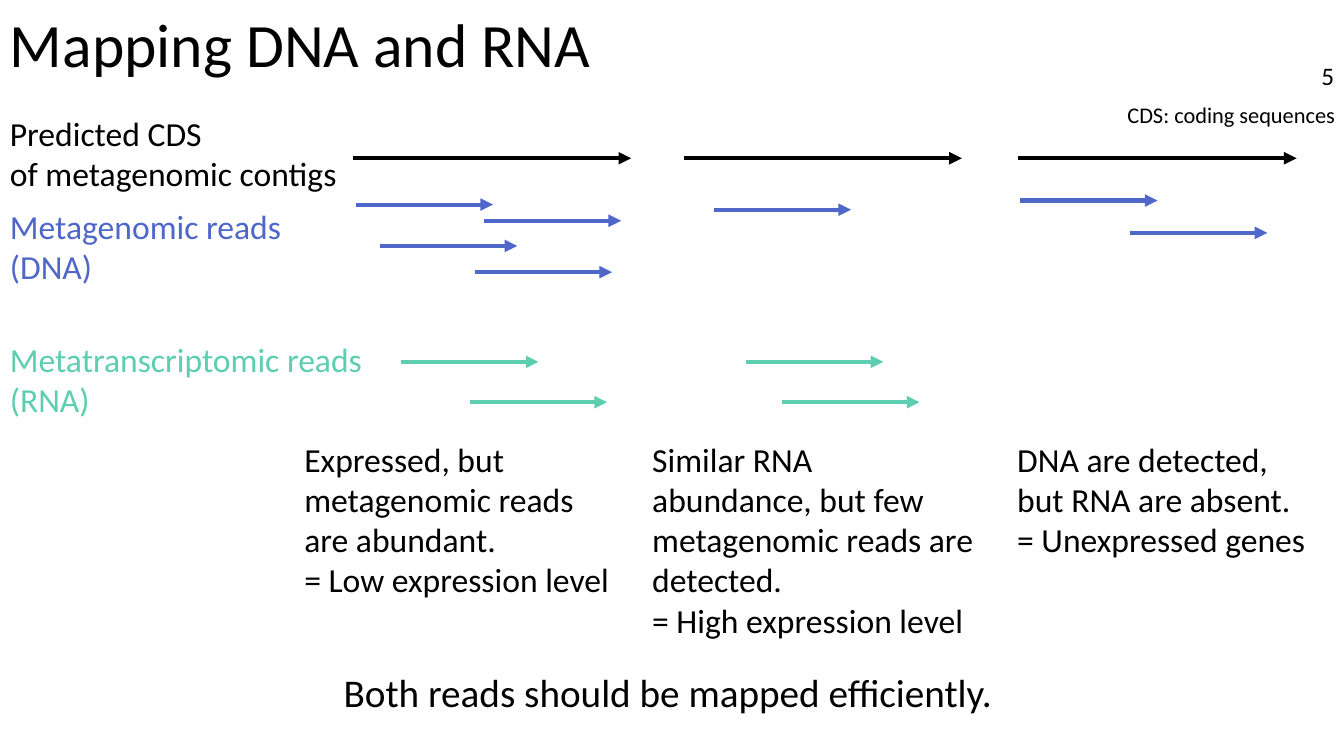
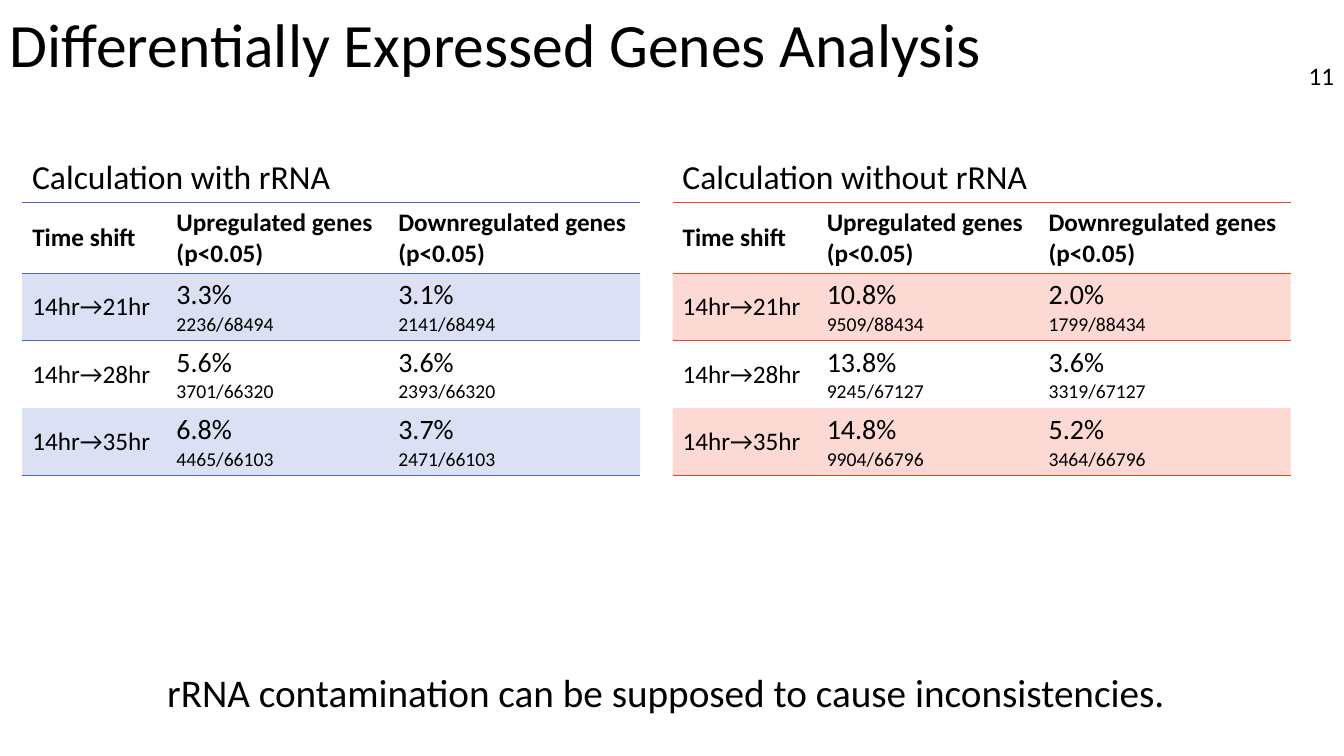
from dataclasses import dataclass
from itertools import accumulate

from pptx import Presentation, util as u
from pptx.dml.color import RGBColor
from pptx.enum import shapes, text as t
from pptx.oxml import parse_xml
from pptx.oxml.ns import nsdecls, qn


@dataclass(frozen=True)
class Theme:
    font: str = "Calibri"
    black: str = "000000"
    blue: str = "4E67C8"
    green: str = "5DCEAF"
    red: str = "F14124"
    band_alpha: int = 20
    title: int = 44
    takeaway: int = 28
    body: int = 24
    percent: int = 20
    label: int = 18
    note: int = 16
    count: int = 14
    arrow: int = 3
    rule: int = 1


THEME = Theme()
SLIDE_W, SLIDE_H = 1333, 750

# Slide 1 content: lengths in px
MAPPING = dict(title="Mapping DNA and RNA", number="5",
               takeaway="Both reads should be mapped efficiently.", takeaway_box=(331, 671))
CDS_NOTE = ("CDS: coding sequences", (1105, 95, 229, 37))
# label, label box, colour, arrow length, arrow starts
TRACKS = [
    ("Predicted CDS\nof metagenomic contigs", (0, 107, 347, 91), THEME.black, 276,
     [(350, 157), (678, 157), (1010, 157)]),
    ("Metagenomic reads\n(DNA)", (0, 199, 292, 91), THEME.blue, 136,
     [(353, 203), (480, 219), (377, 244), (471, 270),
      (708, 208), (1012, 199), (1121, 231)]),
    ("Metatranscriptomic reads\n(RNA)", (0, 331, 373, 91), THEME.green, 136,
     [(398, 359), (466, 399), (740, 359), (776, 399)]),
]
# explanation, left, width
CASES_TOP, CASES_H = 430, 172
CASES = [
    ("Expressed, but metagenomic reads are abundant.\n= Low expression level", 292, 324),
    ("Similar RNA abundance, but few metagenomic reads are detected.\n"
     "= High expression level", 637, 342),
    ("DNA are detected, but RNA are absent.\n= Unexpressed genes", 999, 322),
]

# Slide 2 content
GENES = dict(title="Differentially Expressed Genes Analysis", number="11",
             takeaway="rRNA contamination can be supposed to cause inconsistencies.",
             takeaway_box=(156, 1021))
HEADER = ["Time shift", "Upregulated genes\n(p<0.05)", "Downregulated genes\n(p<0.05)"]
COLUMNS = [143, 220, 250]
ROWS = [70, 67, 67, 67]
TABLE_TOP, CAPTION_TOP, CAPTION_H = 201, 150, 50
# caption, left, caption width, colour, rows
TABLES = [
    ("Calculation with rRNA", 22, 340, THEME.blue, [
        ("14hr→21hr", "3.3%\n2236/68494", "3.1%\n2141/68494"),
        ("14hr→28hr", "5.6%\n3701/66320", "3.6%\n2393/66320"),
        ("14hr→35hr", "6.8%\n4465/66103", "3.7%\n2471/66103")]),
    ("Calculation without rRNA", 667, 393, THEME.red, [
        ("14hr→21hr", "10.8%\n9509/88434", "2.0%\n1799/88434"),
        ("14hr→28hr", "13.8%\n9245/67127", "3.6%\n3319/67127"),
        ("14hr→35hr", "14.8%\n9904/66796", "5.2%\n3464/66796")]),
]


def px(length):
    return u.Emu(length * 9144)


def write(frame, words, size=THEME.body, last_size=None, color=THEME.black, bold=False,
          align=t.PP_ALIGN.LEFT, anchor=t.MSO_ANCHOR.TOP, wrap=True, spacing=None):
    """Fill a text frame, one paragraph a line; last_size sets the last line apart."""
    frame.word_wrap = wrap
    frame.vertical_anchor = anchor
    lines = words.split("\n")
    for i, line in enumerate(lines):
        para = frame.paragraphs[0] if i == 0 else frame.add_paragraph()
        para.alignment = align
        if spacing:
            para.line_spacing = spacing
        run = para.add_run()
        run.text = line
        font = run.font
        is_last = i == len(lines) - 1
        font.size = u.Pt(last_size if last_size and is_last else size)
        font.name, font.bold = THEME.font, bold
        font.color.rgb = RGBColor.from_string(color)


def label(slide, words, box, **style):
    write(slide.shapes.add_textbox(*map(px, box)).text_frame, words, **style)


def arrow(slide, x, y, length, color):
    line = slide.shapes.add_connector(
        shapes.MSO_CONNECTOR.STRAIGHT, px(x), px(y), px(x + length), px(y))
    line.line.color.rgb = RGBColor.from_string(color)
    line.line.width = u.Pt(THEME.arrow)
    props = line.element.spPr
    props.find(qn("a:ln")).append(parse_xml(f'<a:tailEnd {nsdecls("a")} type="triangle"/>'))
    props.append(parse_xml(f'<a:effectLst {nsdecls("a")}/>'))


def new_slide(deck, title, number, takeaway, takeaway_box):
    """Add a blank slide with the shared title, page number and bottom takeaway."""
    slide = deck.slides.add_slide(deck.slide_layouts[6])
    label(slide, title, (0, 0, SLIDE_W, 94), size=THEME.title,
          anchor=t.MSO_ANCHOR.MIDDLE, spacing=0.9)
    label(slide, number, (1033, 55, 300, 40), size=THEME.label,
          align=t.PP_ALIGN.RIGHT, anchor=t.MSO_ANCHOR.MIDDLE)
    left, width = takeaway_box
    label(slide, takeaway, (left, 658, width, 57), size=THEME.takeaway,
          align=t.PP_ALIGN.JUSTIFY, anchor=t.MSO_ANCHOR.BOTTOM, wrap=False)
    return slide


def paint_cell(cell, color, sides, banded):
    props = cell._tc.get_or_add_tcPr()
    for side in sides:
        props.append(parse_xml(
            f'<a:ln{side} {nsdecls("a")} w="{u.Pt(THEME.rule)}"><a:solidFill>'
            f'<a:srgbClr val="{color}"/></a:solidFill></a:ln{side}>'))
    if not banded:
        cell.fill.background()
        return
    cell.fill.solid()
    cell.fill.fore_color.rgb = RGBColor.from_string(color)
    props.find(".//" + qn("a:solidFill") + "[last()]")
    tint = props.find(qn("a:solidFill")).find(qn("a:srgbClr"))
    tint.append(parse_xml(f'<a:alpha {nsdecls("a")} val="{THEME.band_alpha * 1000}"/>'))


def gene_table(slide, left, color, rows):
    grid = [HEADER, *rows]
    table = slide.shapes.add_table(
        len(grid), len(HEADER), px(left), px(TABLE_TOP),
        px(sum(COLUMNS)), px(sum(ROWS))).table
    table.first_row = table.horz_banding = False
    # "No style, no grid"
    table._tbl.tblPr.find(qn("a:tableStyleId")).text = "{2D5ABB26-0587-4C30-8999-92F81FD0307C}"
    for column, width in zip(table.columns, COLUMNS):
        column.width = px(width)
    for r, (row, height) in enumerate(zip(grid, ROWS)):
        table.rows[r].height = px(height)
        sides = "TB" if r == 0 else "T" if r == 1 else "B" if r == len(rows) else ""
        for c, words in enumerate(row):
            cell = table.cell(r, c)
            cell.vertical_anchor = t.MSO_ANCHOR.MIDDLE
            is_value = r > 0 and c > 0
            write(cell.text_frame, words, bold=r == 0, anchor=None, wrap=None,
                  size=THEME.percent if is_value else THEME.label,
                  last_size=THEME.count if is_value else None)
            paint_cell(cell, color, sides, banded=r % 2 == 1)


def mapping_slide(deck):
    slide = new_slide(deck, **MAPPING)
    for words, box, color, length, starts in TRACKS:
        label(slide, words, box, color=color, wrap=False)
        for x, y in starts:
            arrow(slide, x, y, length, color)
    for words, left, width in CASES:
        label(slide, words, (left, CASES_TOP, width, CASES_H))
    note, box = CDS_NOTE
    label(slide, note, box, size=THEME.note, align=t.PP_ALIGN.RIGHT, wrap=False)


def genes_slide(deck):
    slide = new_slide(deck, **GENES)
    for caption, left, width, color, rows in TABLES:
        gene_table(slide, left, color, rows)
        label(slide, caption, (left, CAPTION_TOP, width, CAPTION_H))


def main():
    deck = Presentation()
    deck.slide_width, deck.slide_height = px(SLIDE_W), px(SLIDE_H)
    mapping_slide(deck)
    genes_slide(deck)
    deck.save("out.pptx")


if __name__ == "__main__":
    main()
